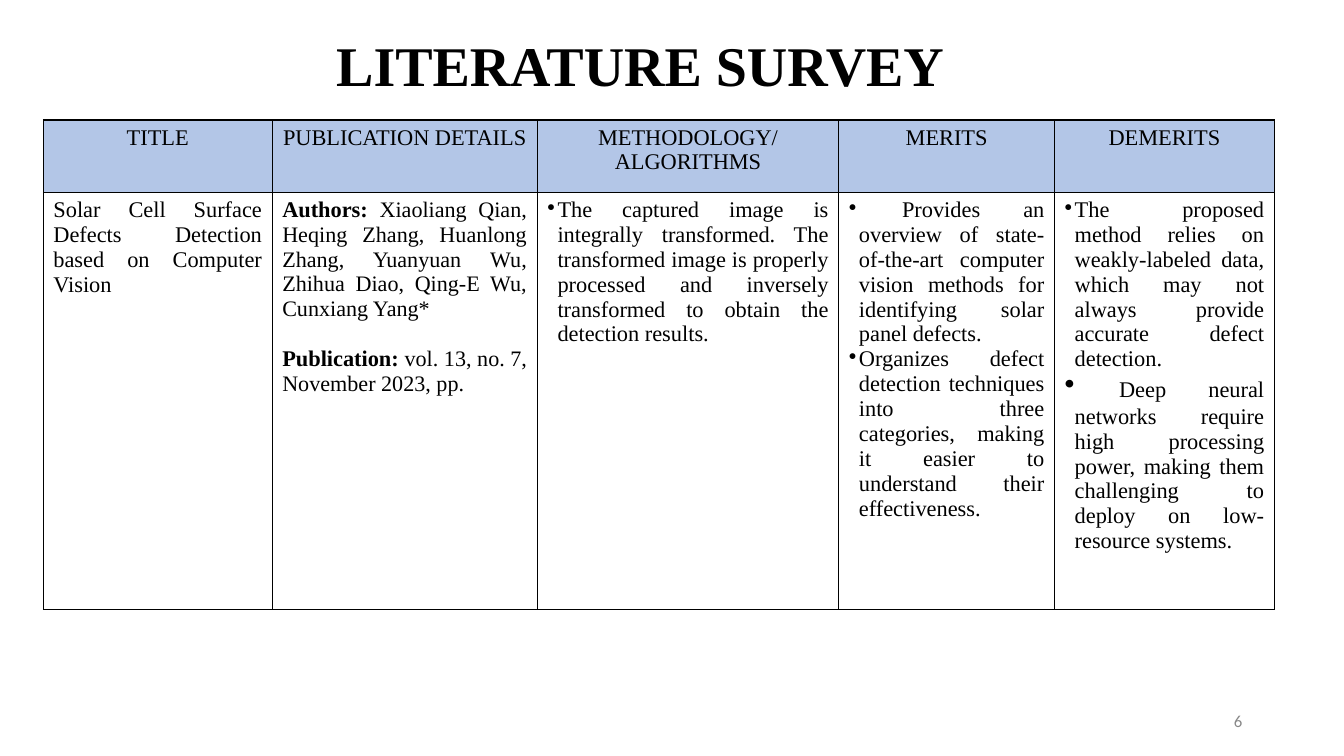
import pptx
import pptx.util
import pptx.dml.color
import pptx.enum.text
import pptx.oxml.ns
import lxml.etree

Inches, Pt = pptx.util.Inches, pptx.util.Pt
RGB = pptx.dml.color.RGBColor
ALIGN = pptx.enum.text.PP_ALIGN
MIDDLE = pptx.enum.text.MSO_ANCHOR.MIDDLE

BLACK = RGB(0x00, 0x00, 0x00)
GREY = RGB(0x88, 0x88, 0x88)
BLUE = RGB(0xB3, 0xC6, 0xE7)
SERIF = "Times New Roman"

HEADS = [
    ["TITLE"],
    ["PUBLICATION DETAILS"],
    ["METHODOLOGY/", "ALGORITHMS"],
    ["MERITS"],
    ["DEMERITS"],
]
BODY = [
    [{"runs": [("Solar Cell Surface Defects Detection based on Computer Vision", 16, False)]}],
    [
        {"runs": [
            ("Authors: ", 16, True),
            ("Xiaoliang Qian, Heqing Zhang, Huanlong Zhang, Yuanyuan Wu, "
             "Zhihua Diao, Qing-E Wu, Cunxiang Yang*", 15.8, False)]},
        {"before": 18, "runs": [
            ("Publication: ", 16, True),
            ("vol. 13, no. 7, November 2023, pp.", 15.8, False)]},
    ],
    [{"hang": 0.11, "runs": [
        ("The captured image is integrally transformed. The transformed image is "
         "properly processed and inversely transformed to obtain the detection "
         "results.", 16, False)]}],
    [
        {"hang": 0.11, "runs": [
            (" Provides an overview of state-of-the-art computer vision methods "
             "for identifying solar panel defects.", 16, False)]},
        {"hang": 0.15, "runs": [
            ("Organizes defect detection techniques into three categories, making "
             "it easier to understand their effectiveness.", 16, False)]},
    ],
    [
        {"hang": 0.15, "runs": [
            ("The proposed method relies on weakly-labeled data, which may not "
             "always provide accurate defect detection.", 16, False)]},
        {"hang": 0.11, "runs": [
            (" ", 21, False),
            ("Deep neural networks require high processing power, making them "
             "challenging to deploy on low-resource systems.", 16, False)]},
    ],
]
WIDTHS = [2.27, 2.63, 2.99, 2.14, 2.18]
HEIGHTS = [0.72, 4.14]
LABELS = [
    {"at": (0.36, 0.18, 11.98, 0.92), "text": "LITERATURE SURVEY", "align": ALIGN.CENTER,
     "font": {"name": SERIF, "size": Pt(40), "bold": True}, "color": BLACK},
    {"at": (9.42, 6.95, 3, 0.4), "text": "6", "align": ALIGN.RIGHT,
     "font": {"name": "Calibri", "size": Pt(12), "bold": False}, "color": GREY},
]


def style(font, form, color):
    for key, value in form.items():
        setattr(font, key, value)
    font.color.rgb = color


def node(parent, tag, **attrs):
    return lxml.etree.SubElement(parent, pptx.oxml.ns.qn(tag), attrs)


def bullet(para, hang):
    props = para._p.get_or_add_pPr()
    props.set("marL", str(Inches(0.1)))
    props.set("indent", str(-Inches(hang)))
    node(node(props, "a:buClr"), "a:srgbClr", val=str(BLACK))
    node(props, "a:buChar", char="•")


def border(cell):
    props = cell._tc.get_or_add_tcPr()
    for side in ("a:lnL", "a:lnR", "a:lnT", "a:lnB"):
        line = node(props, side, w=str(Pt(1)))
        node(node(line, "a:solidFill"), "a:srgbClr", val=str(BLACK))


def write(cell, paras, align):
    frame = cell.text_frame
    for i, item in enumerate(paras):
        para = frame.add_paragraph() if i else frame.paragraphs[0]
        para.alignment = align
        if "hang" in item:
            bullet(para, item["hang"])
        if "before" in item:
            para.space_before = Pt(item["before"])
        for text, size, bold in item["runs"]:
            run = para.add_run()
            run.text = text
            style(run.font, {"name": SERIF, "size": Pt(size), "bold": bold}, BLACK)


def grid(slide):
    box = slide.shapes.add_table(
        len(HEIGHTS), len(WIDTHS), Inches(0.43), Inches(1.19),
        Inches(sum(WIDTHS)), Inches(sum(HEIGHTS)))
    table = box.table
    table.first_row = table.horz_banding = False
    for col, width in zip(table.columns, WIDTHS):
        col.width = Inches(width)
    for row, height in zip(table.rows, HEIGHTS):
        row.height = Inches(height)
    for cell in table.iter_cells():
        border(cell)
    for i, (head, body) in enumerate(zip(HEADS, BODY)):
        top, low = table.cell(0, i), table.cell(1, i)
        top.fill.solid()
        top.fill.fore_color.rgb = BLUE
        low.fill.background()
        write(top, [{"runs": [(text, 16, False)]} for text in head], ALIGN.CENTER)
        write(low, body, ALIGN.JUSTIFY)


def label(slide, item):
    box = slide.shapes.add_textbox(*map(Inches, item["at"]))
    frame = box.text_frame
    frame.word_wrap = True
    frame.vertical_anchor = MIDDLE
    para = frame.paragraphs[0]
    para.alignment = item["align"]
    run = para.add_run()
    run.text = item["text"]
    style(run.font, item["font"], item["color"])


def main():
    deck = pptx.Presentation()
    deck.slide_width, deck.slide_height = Inches(13.33), Inches(7.5)
    slide = deck.slides.add_slide(deck.slide_layouts[6])
    grid(slide)
    for item in LABELS:
        label(slide, item)
    deck.save("out.pptx")


if __name__ == "__main__":
    main()
